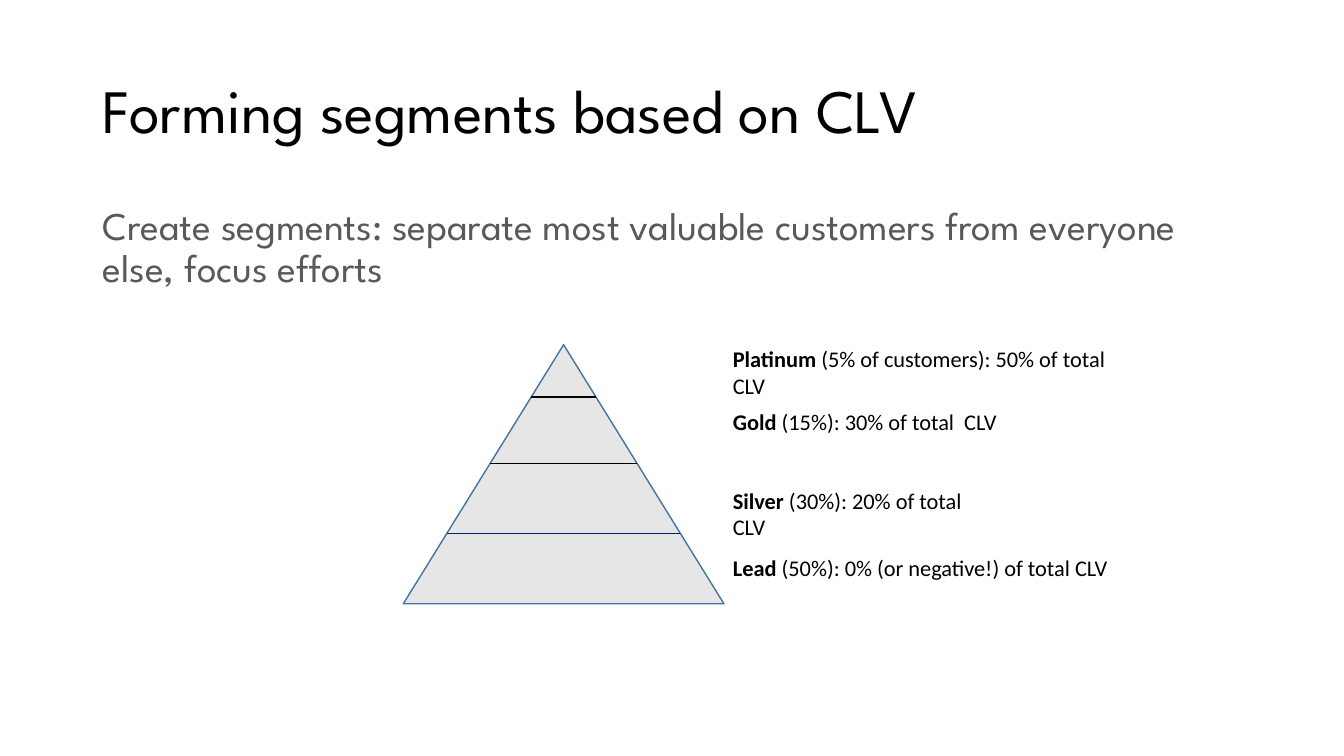
from lxml.etree import SubElement
from pptx import Presentation
from pptx.dml.color import RGBColor
from pptx.enum.shapes import MSO_CONNECTOR as Connector, MSO_SHAPE as Shape
from pptx.enum.text import MSO_ANCHOR as Anchor, MSO_AUTO_SIZE as AutoSize, PP_ALIGN as Align
from pptx.oxml.ns import qn
from pptx.util import Inches, Pt

TITLE = "Forming segments based on CLV"
BODY = "Create segments: separate most valuable customers from everyone else, focus efforts"
BLACK = RGBColor(0x00, 0x00, 0x00)
GREY = RGBColor(0x59, 0x59, 0x59)
PALE = RGBColor(0xE7, 0xE6, 0xE6)
BLUE = RGBColor(0x43, 0x73, 0x9E)
NAVY = RGBColor(0x00, 0x20, 0x60)

# name, detail, label top, label width
TIERS = [
    ("Platinum", " (5% of customers): 50% of total CLV", 3.38, 4.24),
    ("Gold", " (15%): 30% of total  CLV", 4.0, 2.82),
    ("Silver", " (30%): 20% of total  CLV", 4.78, 2.88),
    ("Lead", " (50%): 0% (or negative!) of total CLV", 5.45, 3.92),
]
# height on the page, colour
DIVIDERS = [(3.94, BLACK), (4.6, BLACK), (5.29, NAVY)]

WIDTH, HEIGHT = 13.33, 7.5
MARGIN = 0.92
PYRAMID_LEFT, PYRAMID_TOP, PYRAMID_WIDTH, PYRAMID_HEIGHT = 4, 3.42, 3.18, 2.57
LABEL_LEFT, LABEL_HEIGHT = 7.17, 0.37


def place(box, left, top, width, height):
    box.left, box.top = Inches(left), Inches(top)
    box.width, box.height = Inches(width), Inches(height)


def add_span(para, text, font, size, color, bold=False):
    span = para.add_run()
    span.text = text
    span.font.name, span.font.size = font, Pt(size)
    span.font.color.rgb, span.font.bold = color, bold


def fill_placeholder(box, text, size, color, top, height, anchor, before):
    place(box, MARGIN, top, WIDTH - 2 * MARGIN, height)
    frame = box.text_frame
    frame.word_wrap, frame.auto_size = True, AutoSize.NONE
    frame.vertical_anchor = anchor
    para = frame.paragraphs[0]
    para.alignment, para.line_spacing = Align.LEFT, 0.9
    para.space_before = Pt(before)
    props = para._p.get_or_add_pPr()
    props.set("marL", "0")
    props.set("indent", "0")
    SubElement(props, qn("a:buNone"))
    add_span(para, text, "League Spartan", size, color)


def add_pyramid(page):
    pyramid = page.shapes.add_shape(Shape.ISOSCELES_TRIANGLE, 0, 0, 0, 0)
    place(pyramid, PYRAMID_LEFT, PYRAMID_TOP, PYRAMID_WIDTH, PYRAMID_HEIGHT)
    pyramid.shadow.inherit = False
    pyramid.fill.solid()
    pyramid.fill.fore_color.rgb = PALE
    pyramid.line.color.rgb, pyramid.line.width = BLUE, Pt(1)


def add_divider(page, y, color):
    """Draw a level line from one sloping side of the pyramid to the other."""
    half = PYRAMID_WIDTH / 2 * (y - PYRAMID_TOP) / PYRAMID_HEIGHT
    apex = PYRAMID_LEFT + PYRAMID_WIDTH / 2
    line = page.shapes.add_connector(
        Connector.STRAIGHT, Inches(apex - half), Inches(y), Inches(apex + half), Inches(y))
    line.line.color.rgb, line.line.width = color, Pt(1)
    SubElement(line._element.spPr, qn("a:effectLst"))


def add_label(page, name, detail, top, width):
    box = page.shapes.add_textbox(0, 0, 0, 0)
    place(box, LABEL_LEFT, top, width, LABEL_HEIGHT)
    box.text_frame.word_wrap = True
    para = box.text_frame.paragraphs[0]
    add_span(para, name, "Calibri", 16, BLACK, bold=True)
    add_span(para, detail, "Calibri", 16, BLACK)


def main():
    deck = Presentation()
    deck.slide_width, deck.slide_height = Inches(WIDTH), Inches(HEIGHT)
    page = deck.slides.add_slide(deck.slide_layouts[1])
    fill_placeholder(page.shapes.title, TITLE, 44, BLACK, 0.4, 1.45, Anchor.MIDDLE, 0)
    fill_placeholder(page.placeholders[1], BODY, 28, GREY, 2, 4.76, Anchor.TOP, 10)
    add_pyramid(page)
    for divider in DIVIDERS:
        add_divider(page, *divider)
    for tier in TIERS:
        add_label(page, *tier)
    deck.save("out.pptx")


if __name__ == "__main__":
    main()
